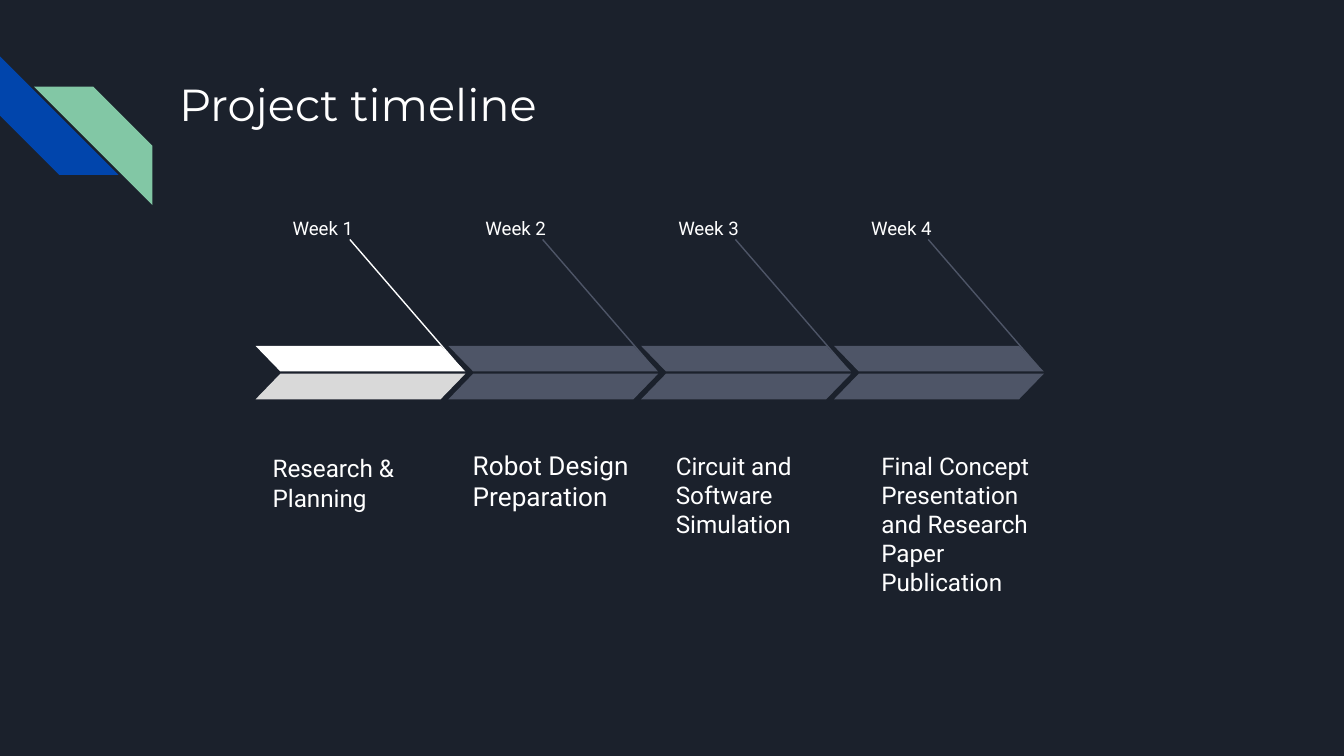
import pptx
import pptx.dml.color
import pptx.enum.shapes
import pptx.enum.text
import pptx.oxml.ns
import pptx.oxml.xmlchemy
import pptx.util
from pptx.util import Pt

RGBColor = pptx.dml.color.RGBColor
SHAPE = pptx.enum.shapes.MSO_SHAPE
ANCHOR = pptx.enum.text.MSO_ANCHOR

NAVY = RGBColor(0x1B, 0x21, 0x2C)
BLUE = RGBColor(0x01, 0x45, 0xAC)
GREEN = RGBColor(0x82, 0xC7, 0xA5)
WHITE = RGBColor(0xFF, 0xFF, 0xFF)
LIGHT_GRAY = RGBColor(0xD9, 0xD9, 0xD9)
SLATE = RGBColor(0x4E, 0x55, 0x67)

# Each stage: week, task, text size, task left, task top,
# upper band colour, lower band colour
STAGES = [
    ("Week 1", "Research & Planning", 13, 139, 239, WHITE, LIGHT_GRAY),
    ("Week 2", "Robot Design Preparation", 14, 246.2, 239, SLATE, SLATE),
    ("Week 3", "Circuit and Software Simulation", 13, 355, 253.4, SLATE, SLATE),
    ("Week 4", "Final Concept Presentation and Research Paper Publication",
     13, 465.1, 284.4, SLATE, SLATE),
]
STAGE_PITCH = 103.3


def add_text(slide, box, text, size, font, anchor=ANCHOR.TOP):
    shape = slide.shapes.add_textbox(*(Pt(value) for value in box))
    frame = shape.text_frame
    frame.word_wrap = True
    frame.vertical_anchor = anchor
    frame.margin_left = frame.margin_right = Pt(7.2)
    frame.margin_top = frame.margin_bottom = Pt(7.2)
    run = frame.paragraphs[0].add_run()
    run.text = text
    run.font.size = Pt(size)
    run.font.name = font
    run.font.color.rgb = WHITE


def add_band(slide, preset, box, adjustment, color, flipped=False):
    shape = slide.shapes.add_shape(preset, *(Pt(value) for value in box))
    shape.shadow.inherit = False
    shape.adjustments[0] = adjustment
    shape.fill.solid()
    shape.fill.fore_color.rgb = color
    shape.line.fill.background()
    if flipped:
        shape._element.spPr.find(pptx.oxml.ns.qn("a:xfrm")).set("flipH", "1")
    return shape


def add_leader(slide, start, end, color):
    connector = slide.shapes.add_connector(
        pptx.enum.shapes.MSO_CONNECTOR.STRAIGHT,
        *(Pt(value) for value in start + end))
    connector.line.color.rgb = color
    connector.line.width = Pt(0.75)
    connector._element.spPr.append(
        pptx.oxml.xmlchemy.OxmlElement("a:effectLst"))


def add_corner_stripes(slide, left, top, size):
    blue = add_band(slide, SHAPE.DIAGONAL_STRIPE,
                    (left, top, size, size), 0.5, BLUE)
    blue.rotation = 270
    add_band(slide, SHAPE.DIAGONAL_STRIPE,
             (left + 18.2, top + 16.2, size, size), 0.5, GREEN, flipped=True)


def add_stage(slide, left, top, width, height, stage):
    week, task, size, task_left, task_top, upper, lower = stage
    # Week label and task
    add_text(slide, (left + 12.8, top - 75, 51, 22), week, 10, "Roboto")
    add_text(slide, (task_left, task_top, 108, 42.5), task, size, "Roboto",
             ANCHOR.BOTTOM)
    # Leader from the label to the tip of the arrow
    add_leader(slide, (left + 50.5, top - 57), (left + 111, top + 13), upper)
    # Upper and lower halves of the arrow
    half = (height - 1.2) / 2
    add_band(slide, SHAPE.PARALLELOGRAM, (left, top, width, half),
             0.97, upper, flipped=True)
    add_band(slide, SHAPE.PARALLELOGRAM,
             (left, top + height - half, width, half), 0.97, lower)


def add_timeline(slide, left, top, width, height):
    for index, stage in enumerate(STAGES):
        add_stage(slide, left + index * STAGE_PITCH, top, width, height, stage)


def main():
    presentation = pptx.Presentation()
    presentation.slide_width = Pt(720)
    presentation.slide_height = Pt(405)
    slide = presentation.slides.add_slide(presentation.slide_layouts[6])
    slide.background.fill.solid()
    slide.background.fill.fore_color.rgb = NAVY

    add_corner_stripes(slide, 0, 30.2, 63.5)
    add_text(slide, (88.9, 33.8, 554.4, 72), "Project timeline", 24,
             "Montserrat")
    add_timeline(slide, 136.9, 185.3, 112.4, 28.6)
    presentation.save("out.pptx")


if __name__ == "__main__":
    main()
